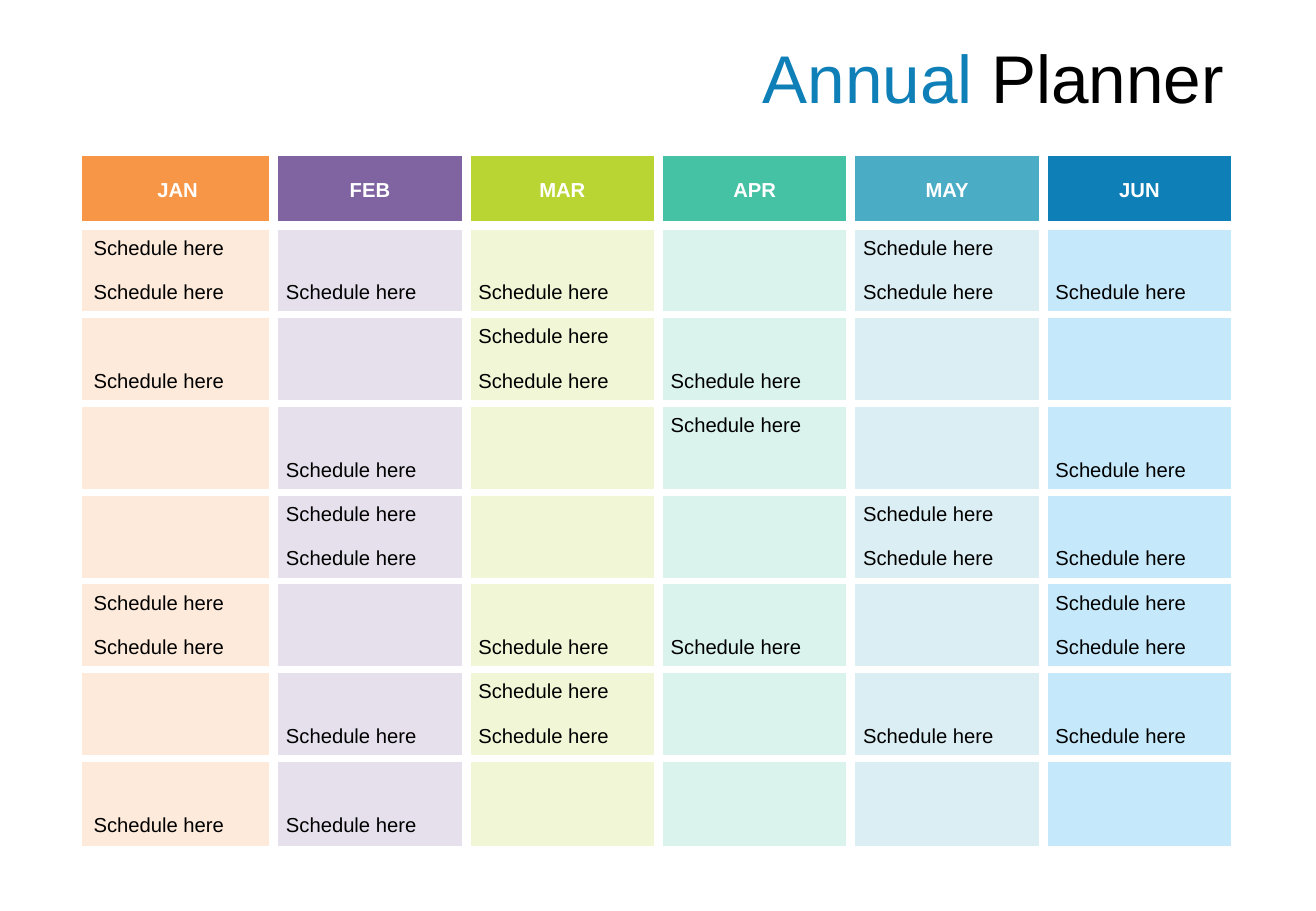
from dataclasses import dataclass

from lxml import etree
from pptx import Presentation
from pptx.enum.text import MSO_ANCHOR, MSO_AUTO_SIZE, PP_ALIGN
from pptx.dml.color import RGBColor
from pptx.oxml.ns import qn
from pptx.slide import Slide
from pptx.table import Table, _Cell
from pptx.text.text import _Paragraph
from pptx.util import Inches, Pt

MIDDLE = MSO_ANCHOR.MIDDLE
FIT_SHAPE = MSO_AUTO_SIZE.SHAPE_TO_FIT_TEXT
LEFT, CENTER, RIGHT = PP_ALIGN.LEFT, PP_ALIGN.CENTER, PP_ALIGN.RIGHT

FONT = "Arial"
ENTRY = "Schedule here"
GRID_LEFT, GRID_TOP, GRID_WIDTH, GRID_HEIGHT = 0.67, 1.28, 9.5, 5.7
HEADER_HEIGHT = 0.58
ENTRY_ROWS = 14
EDGE, ROW_GAP, WIDE_GAP = 1, 4.5, 6

COLORS = {
    "white": "FFFFFF", "black": "000000",
    "orange": "F79646", "pale orange": "FDEADA",
    "purple": "8064A2", "pale purple": "E6E0EC",
    "lime": "B9D533", "pale lime": "F1F7D6",
    "green": "45C1A4", "pale green": "DAF3ED",
    "teal": "4BACC6", "pale teal": "DBEEF4",
    "blue": "0E7FB7", "pale blue": "C5E9FB",
}


@dataclass(frozen=True)
class Month:
    name: str
    color: str
    entries: tuple[int, ...]


MONTHS = [
    Month("JAN", "orange", (1, 2, 4, 9, 10, 14)),
    Month("FEB", "purple", (2, 6, 7, 8, 12, 14)),
    Month("MAR", "lime", (2, 3, 4, 10, 11, 12)),
    Month("APR", "green", (4, 5, 10)),
    Month("MAY", "teal", (1, 2, 7, 8, 12)),
    Month("JUN", "blue", (2, 6, 8, 9, 10, 12)),
]


def add_text(p: _Paragraph, text: str, *, size: float = 12, color: str = "black",
             bold: bool = False, align: PP_ALIGN = LEFT) -> None:
    p.alignment = align
    r = p.add_run()
    r.text = text
    r.font.name, r.font.size, r.font.bold = FONT, Pt(size), bold
    r.font.color.rgb = RGBColor.from_string(COLORS[color])


def set_borders(cell: _Cell, **widths: float) -> None:
    """Draw white borders in points, given in the order L, R, T, B; 0 hides one."""
    tc_pr = cell._tc.get_or_add_tcPr()
    for side, width in widths.items():
        ln = etree.SubElement(tc_pr, qn(f"a:ln{side}"), w=str(Pt(width)))
        if width:
            fill = etree.SubElement(ln, qn("a:solidFill"))
            etree.SubElement(fill, qn("a:srgbClr"), val=COLORS["white"])
        else:
            etree.SubElement(ln, qn("a:noFill"))


def gap_below(row: int) -> float:
    """Entry rows form pairs, with a gap after each pair."""
    if row == 0:
        return WIDE_GAP
    if row == ENTRY_ROWS:
        return EDGE
    return 0 if row % 2 else ROW_GAP


def fill_cell(table: Table, row: int, col: int) -> None:
    month, cell = MONTHS[col], table.cell(row, col)
    is_header = row == 0
    side_inset = Inches(0 if is_header else 0.1)
    cell.margin_left = cell.margin_right = side_inset
    cell.margin_top = cell.margin_bottom = 0
    cell.vertical_anchor = MIDDLE
    set_borders(cell, L=WIDE_GAP if col else EDGE, R=WIDE_GAP,
                T=EDGE if is_header else gap_below(row - 1), B=gap_below(row))
    cell.fill.solid()
    color = month.color if is_header else f"pale {month.color}"
    cell.fill.fore_color.rgb = RGBColor.from_string(COLORS[color])
    p = cell.text_frame.paragraphs[0]
    if is_header:
        add_text(p, month.name, color="white", bold=True, align=CENTER)
    elif row in month.entries:
        add_text(p, ENTRY)


def add_title(s: Slide) -> None:
    tf = s.shapes.add_textbox(Inches(GRID_LEFT), Inches(0.25),
                              Inches(GRID_WIDTH), Inches(0.77)).text_frame
    tf.word_wrap = True
    tf.auto_size = FIT_SHAPE
    p = tf.paragraphs[0]
    add_text(p, "Annual", size=40, color="blue", align=RIGHT)
    add_text(p, " Planner", size=40, align=RIGHT)


def add_planner(s: Slide) -> None:
    table = s.shapes.add_table(ENTRY_ROWS + 1, len(MONTHS), Inches(GRID_LEFT), Inches(GRID_TOP),
                               Inches(GRID_WIDTH), Inches(GRID_HEIGHT)).table
    table.first_row = table.horz_banding = False
    for column in table.columns:
        column.width = Inches(GRID_WIDTH / len(MONTHS))
    for row, table_row in enumerate(table.rows):
        entry_height = (GRID_HEIGHT - HEADER_HEIGHT) / ENTRY_ROWS
        table_row.height = Inches(entry_height if row else HEADER_HEIGHT)
        for col in range(len(MONTHS)):
            fill_cell(table, row, col)


def main() -> None:
    prs = Presentation()
    prs.slide_width, prs.slide_height = Inches(10.83), Inches(7.5)
    s = prs.slides.add_slide(prs.slide_layouts[6])
    add_title(s)
    add_planner(s)
    prs.save("out.pptx")


if __name__ == "__main__":
    main()
